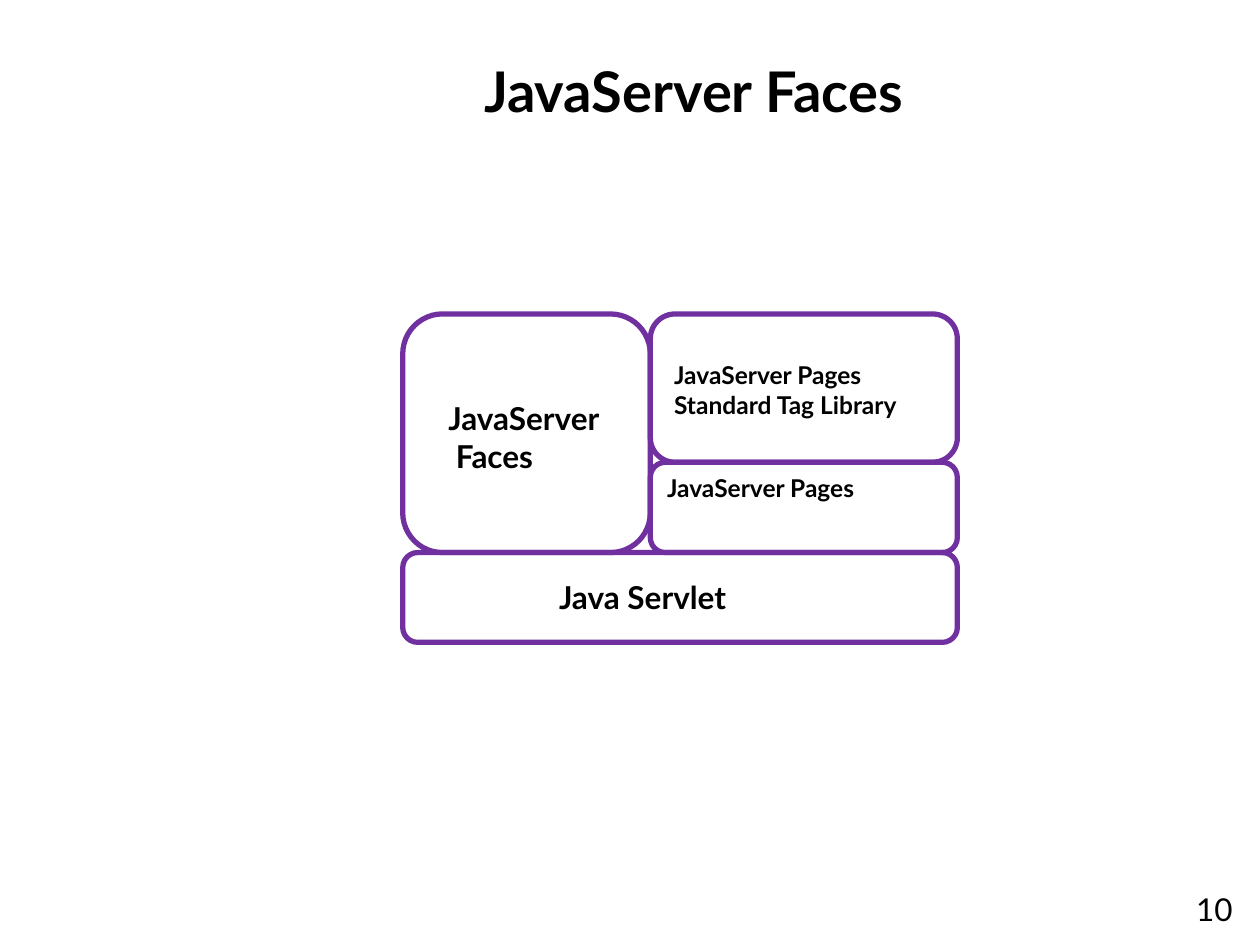
from pptx import Presentation
from pptx.dml.color import RGBColor
from pptx.enum.shapes import MSO_SHAPE
from pptx.enum.text import MSO_ANCHOR, PP_ALIGN
from pptx.util import Cm, Pt

FONT = "Lato"
HUES = {"ink": "000000", "edge": "7030A0"}

TITLE = ("JavaServer Faces", (3.5, 0.91, 20.96, 1.8))
LEFT, MID, RIGHT = 8.12, 13.11, 19.3
TOP, SPLIT, BASE, END = 6.33, 9.32, 11.14, 12.95

BOXES = [
    (MID, SPLIT, RIGHT, BASE, "JavaServer Pages"),
    (LEFT, BASE, RIGHT, END, ""),
    (MID, TOP, RIGHT, SPLIT, ""),
    (LEFT, TOP, MID, BASE, ""),
]
LABELS = [
    ((11.02, 11.53, 4.39, 1.02), 18, [("Java Servlet", 0)]),
    ((13.34, 7.14, 5.69, 1.45), 14,
     [("JavaServer Pages", 0), ("Standard Tag Library", 0)]),
    ((8.79, 7.92, 3.89, 1.78), 18, [("JavaServer", 0), ("Faces", 0.15)]),
]
PAGE = ("10", (19.18, 17.81, 5.92, 1.32))


def put(par, text, size, bold=True, align=PP_ALIGN.LEFT):
    par.alignment = align
    run = par.add_run()
    run.text = text
    font = run.font
    font.name, font.size, font.bold = FONT, Pt(size), bold
    font.color.rgb = RGBColor.from_string(HUES["ink"])


def place(shape, area):
    shape.left, shape.top, shape.width, shape.height = map(Cm, area)


def add_box(slide, left, top, right, low, text):
    area = map(Cm, (left, top, right - left, low - top))
    box = slide.shapes.add_shape(MSO_SHAPE.ROUNDED_RECTANGLE, *area)
    box.shadow.inherit = False
    box.fill.background()
    box.line.color.rgb = RGBColor.from_string(HUES["edge"])
    box.line.width = Pt(3)
    if text:
        box.text_frame.vertical_anchor = MSO_ANCHOR.TOP
        put(box.text_frame.paragraphs[0], text, 14)


def add_label(slide, area, size, lines):
    frame = slide.shapes.add_textbox(*map(Cm, area)).text_frame
    frame.word_wrap = False
    for row, (text, indent) in enumerate(lines):
        par = frame.add_paragraph() if row else frame.paragraphs[0]
        put(par, text, size)
        if indent:
            par._p.get_or_add_pPr().set("marL", str(Cm(indent)))


def main():
    deck = Presentation()
    deck.slide_width, deck.slide_height = Cm(25.4), Cm(19.05)
    slide = deck.slides.add_slide(deck.slide_layouts[5])

    text, area = TITLE
    title = slide.shapes.title
    place(title, area)
    title.text_frame.vertical_anchor = MSO_ANCHOR.MIDDLE
    put(title.text_frame.paragraphs[0], text, 32, align=PP_ALIGN.CENTER)

    for box in BOXES:
        add_box(slide, *box)
    for label in LABELS:
        add_label(slide, *label)

    text, area = PAGE
    frame = slide.shapes.add_textbox(*map(Cm, area)).text_frame
    frame.word_wrap = True
    put(frame.paragraphs[0], text, 18, bold=False, align=PP_ALIGN.RIGHT)

    deck.save("out.pptx")


if __name__ == "__main__":
    main()
